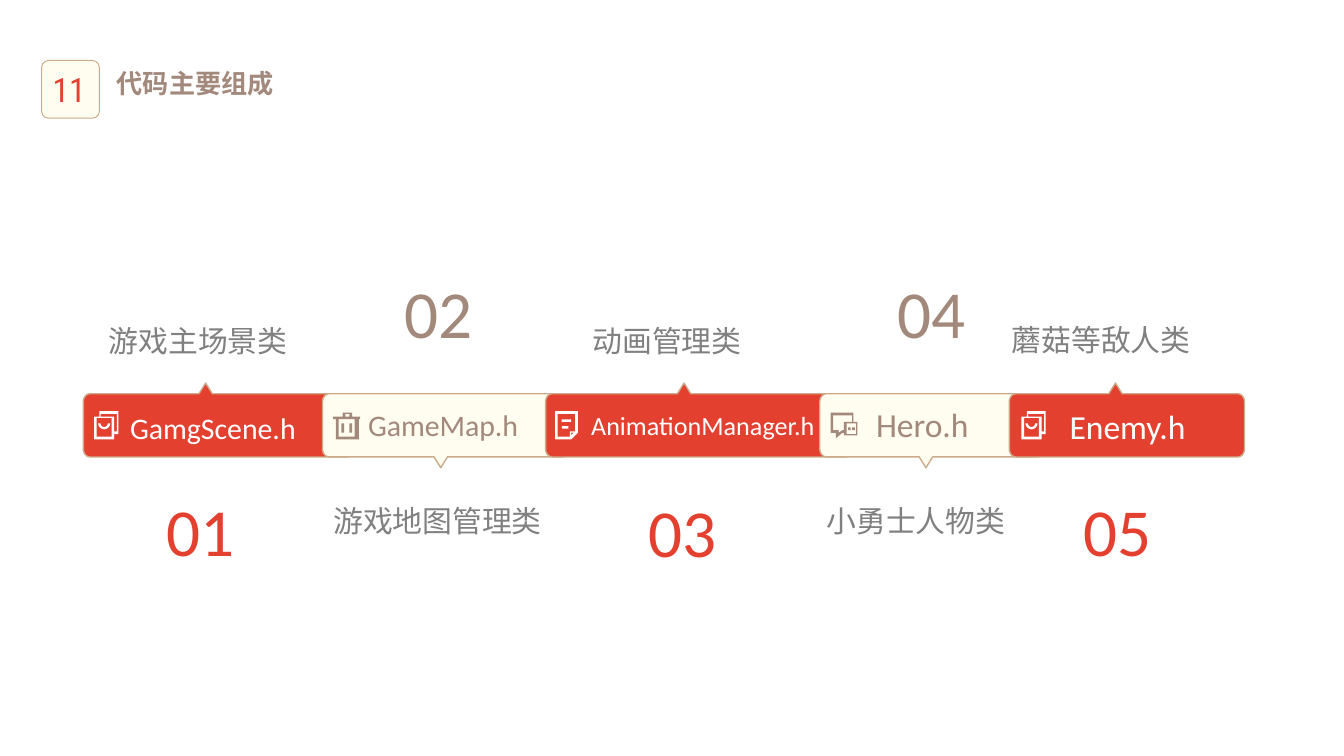
"""Build a slide that lists the main header files of a game's code."""
from math import cos, pi, sin

from lxml.etree import SubElement
from pptx import Presentation
from pptx.dml.color import RGBColor
from pptx.enum.shapes import MSO_SHAPE
from pptx.enum.text import MSO_ANCHOR, PP_ALIGN
from pptx.oxml.ns import qn
from pptx.util import Inches, Pt

RED, CREAM, BROWN, TAN, GREY, WHITE = "E4402F", "FFFDEF", "A2897B", "CBAB89", "808080", "FFFFFF"
EAST_ASIAN_FONT = "Noto Sans CJK SC"
PAGE_WIDTH = 10
PAGE_HEIGHT = PAGE_WIDTH * 9 / 16
BAR_TOP, BAR_BOTTOM = 2.93, 3.4
TIP_HEIGHT, TIP_HALF_WIDTH = 0.08, 0.05
CORNER_WIDTH, CORNER_HEIGHT = 0.05, 0.06
ICON_UNIT = 0.01


def arc(center_x, center_y, radius_x, radius_y, start, end, steps=8):
    """Return points along an elliptical arc, with angles in degrees."""
    angles = [(start + (end - start) * step / steps) * pi / 180 for step in range(steps + 1)]
    return [(center_x + radius_x * cos(angle), center_y + radius_y * sin(angle)) for angle in angles]


BAG = {
    "outlines": [
        [arc(7.5, 9, 4.5, 4.5, 180, 0) + arc(7.5, 9, 2.75, 2.75, 0, 180)],
        [[(18, 0), (4, 0), (4, 4), (0, 4), (0, 21), (15, 21), (15, 17), (18, 17)],
         [(13, 19), (2, 19), (2, 5), (13, 5)],
         [(17, 15), (15, 15), (15, 4), (5, 4), (5, 2), (17, 2)]],
    ],
    "bars": [],
}
TRASH = {
    "outlines": [
        [[(20, 3), (14, 3), (14, 0), (7, 0), (7, 3), (0, 3), (0, 5), (2, 5), (2, 20),
          (19, 20), (19, 5), (20, 5)],
         [(9, 1), (12, 1), (12, 3), (9, 3)],
         [(16, 18), (4, 18), (4, 5), (16, 5)]],
    ],
    "bars": [(6, 8, 2, 7), (12, 8, 2, 7)],
}
NOTE = {
    "outlines": [
        [[(0, 0), (0, 21), (12, 21), (17, 16), (17, 0)],
         [(2, 2), (15, 2), (15, 15), (11, 15), (11, 19), (2, 19)],
         [(14, 16), (12, 18), (12, 16)]],
    ],
    "bars": [(5, 6, 7, 2), (5, 11, 5, 2)],
}
CHAT = {
    "outlines": [
        [[(17, 7), (17, 0), (0, 0), (0, 15), (4, 15), (4, 19), (9, 15), (10, 15), (10, 17),
          (20, 17), (20, 7)],
         [(9, 13), (6, 15), (6, 13), (2, 13), (2, 2), (16, 2), (16, 7), (10, 7), (10, 13)],
         [(19, 16), (12, 16), (12, 8), (19, 8)]],
    ],
    "bars": [(13, 11, 2, 2), (16, 11, 2, 2)],
}

UP = {"points_up": True, "fill": RED, "label": WHITE, "number": RED}
DOWN = {"points_up": False, "fill": CREAM, "label": BROWN, "number": BROWN}
BANNERS = [
    {"style": UP, "left": 0.62, "width": 2.01, "tip": 1.53, "icon": (BAG, 0.7, 3.06),
     "label": ("GamgScene.h", 16, 0.87, 3, 1.45, 0.37),
     "caption": ("游戏主场景类", 0.81, 2.4), "number": ("01", 1.14, 3.59)},
    {"style": DOWN, "left": 2.4, "width": 1.84, "tip": 3.28, "icon": (TRASH, 2.48, 3.07),
     "label": ("GameMap.h", 16, 2.64, 2.98, 1.33, 0.37),
     "caption": ("游戏地图管理类", 2.48, 3.74), "number": ("02", 2.91, 1.97)},
    {"style": UP, "left": 4.06, "width": 2.28, "tip": 5.09, "icon": (NOTE, 4.13, 3.06),
     "label": ("AnimationManager.h", 14, 4.3, 3, 1.88, 0.34),
     "caption": ("动画管理类", 4.41, 2.4), "number": ("03", 4.73, 3.6)},
    {"style": DOWN, "left": 6.1, "width": 1.67, "tip": 6.89, "icon": (CHAT, 6.18, 3.07),
     "label": ("Hero.h", 18, 6.42, 2.96, 0.9, 0.4),
     "caption": ("小勇士人物类", 6.15, 3.74), "number": ("04", 6.58, 1.97)},
    {"style": UP, "left": 7.51, "width": 1.75, "tip": 8.3, "icon": (BAG, 7.6, 3.06),
     "label": ("Enemy.h", 18, 7.86, 2.97, 1.07, 0.4),
     "caption": ("蘑菇等敌人类", 7.53, 2.39), "number": ("05", 7.96, 3.59)},
]


def color(value):
    """Turn a hex string into a colour."""
    return RGBColor.from_string(value)


def paint(shape, fill, line=None, weight=0.75):
    """Give a shape its fill and outline, without a shadow."""
    shape.shadow.inherit = False
    shape.fill.solid()
    shape.fill.fore_color.rgb = color(fill)
    if line:
        shape.line.color.rgb = color(line)
        shape.line.width = Pt(weight)
    else:
        shape.line.fill.background()


def add_text(page, text, place, size, ink, font="Calibri", bold=False, frame_format=None, align=None):
    """Add a text box holding one run."""
    box = page.shapes.add_textbox(*map(Inches, place))
    for name, value in (frame_format or {}).items():
        setattr(box.text_frame, name, value)
    para = box.text_frame.paragraphs[0]
    para.alignment = align
    span = para.add_run()
    span.text = text
    for name, value in {"name": font, "size": Pt(size), "bold": bold}.items():
        setattr(span.font, name, value)
    span.font.color.rgb = color(ink)
    SubElement(span.font._element, qn("a:ea")).set("typeface", EAST_ASIAN_FONT)


def add_outline(shapes, contours):
    """Add one freeform made of closed contours given in inches."""
    builder = None
    for contour in contours:
        points = [(Inches(x), Inches(y)) for x, y in contour]
        if builder is None:
            builder = shapes.build_freeform(*points[0])
        else:
            builder.move_to(*points[0])
        builder.add_line_segments(points[1:], close=True)
    return builder.convert_to_shape()


def add_banner(page, left, width, tip, points_up, fill):
    """Add a rounded bar with a small tip on its upper or lower side."""
    right = left + width
    corners = [
        (right - CORNER_WIDTH, BAR_TOP + CORNER_HEIGHT, -90),
        (right - CORNER_WIDTH, BAR_BOTTOM - CORNER_HEIGHT, 0),
        (left + CORNER_WIDTH, BAR_BOTTOM - CORNER_HEIGHT, 90),
        (left + CORNER_WIDTH, BAR_TOP + CORNER_HEIGHT, 180),
    ]
    arcs = [arc(x, y, CORNER_WIDTH, CORNER_HEIGHT, start, start + 90) for x, y, start in corners]
    edge, direction = (BAR_TOP, -1) if points_up else (BAR_BOTTOM, 1)
    pointer = [(tip + direction * TIP_HALF_WIDTH, edge), (tip, edge + direction * TIP_HEIGHT),
               (tip - direction * TIP_HALF_WIDTH, edge)]
    arcs.insert(4 if points_up else 2, pointer)
    paint(add_outline(page.shapes, [sum(arcs, [])]), fill, TAN)


def add_icon(page, icon, left, top, ink):
    """Add an icon as a group of outlines and bars."""
    group = page.shapes.add_group_shape()
    for contours in icon["outlines"]:
        placed = [[(left + x * ICON_UNIT, top + y * ICON_UNIT) for x, y in contour] for contour in contours]
        paint(add_outline(group.shapes, placed), ink)
    for x, y, width, height in icon["bars"]:
        place = (left + x * ICON_UNIT, top + y * ICON_UNIT, width * ICON_UNIT, height * ICON_UNIT)
        paint(group.shapes.add_shape(MSO_SHAPE.RECTANGLE, *map(Inches, place)), ink)


def main():
    """Build and save the deck."""
    deck = Presentation()
    deck.slide_width, deck.slide_height = Inches(PAGE_WIDTH), Inches(PAGE_HEIGHT)
    page = deck.slides.add_slide(deck.slide_layouts[6])

    badge = page.shapes.add_shape(MSO_SHAPE.ROUNDED_RECTANGLE, *map(Inches, (0.31, 0.45, 0.43, 0.43)))
    badge.adjustments[0] = 0.12
    paint(badge, CREAM, TAN, 0.5)
    add_text(page, "11", (0.26, 0.46, 0.51, 0.4), 18, RED, "Roboto Condensed",
             frame_format={"word_wrap": True, "vertical_anchor": MSO_ANCHOR.MIDDLE}, align=PP_ALIGN.CENTER)
    add_text(page, "代码主要组成", (0.77, 0.45, 8.62, 0.47), 14, BROWN, EAST_ASIAN_FONT, True,
             {"word_wrap": True})

    margins = dict.fromkeys(("margin_left", "margin_top", "margin_right", "margin_bottom"), 0)
    for banner in BANNERS:
        style = banner["style"]
        add_banner(page, banner["left"], banner["width"], banner["tip"], style["points_up"], style["fill"])
        add_icon(page, *banner["icon"], style["label"])
        label, size, *place = banner["label"]
        add_text(page, label, place, size, style["label"], frame_format={"word_wrap": False})
        caption, left, top = banner["caption"]
        add_text(page, caption, (left, top, 1.57, 0.27), 16, GREY,
                 frame_format={"word_wrap": True, **margins})
        number, left, top = banner["number"]
        add_text(page, number, (left, top, 0.71, 0.71), 36, style["number"],
                 frame_format={"word_wrap": False})

    deck.save("out.pptx")


if __name__ == "__main__":
    main()
